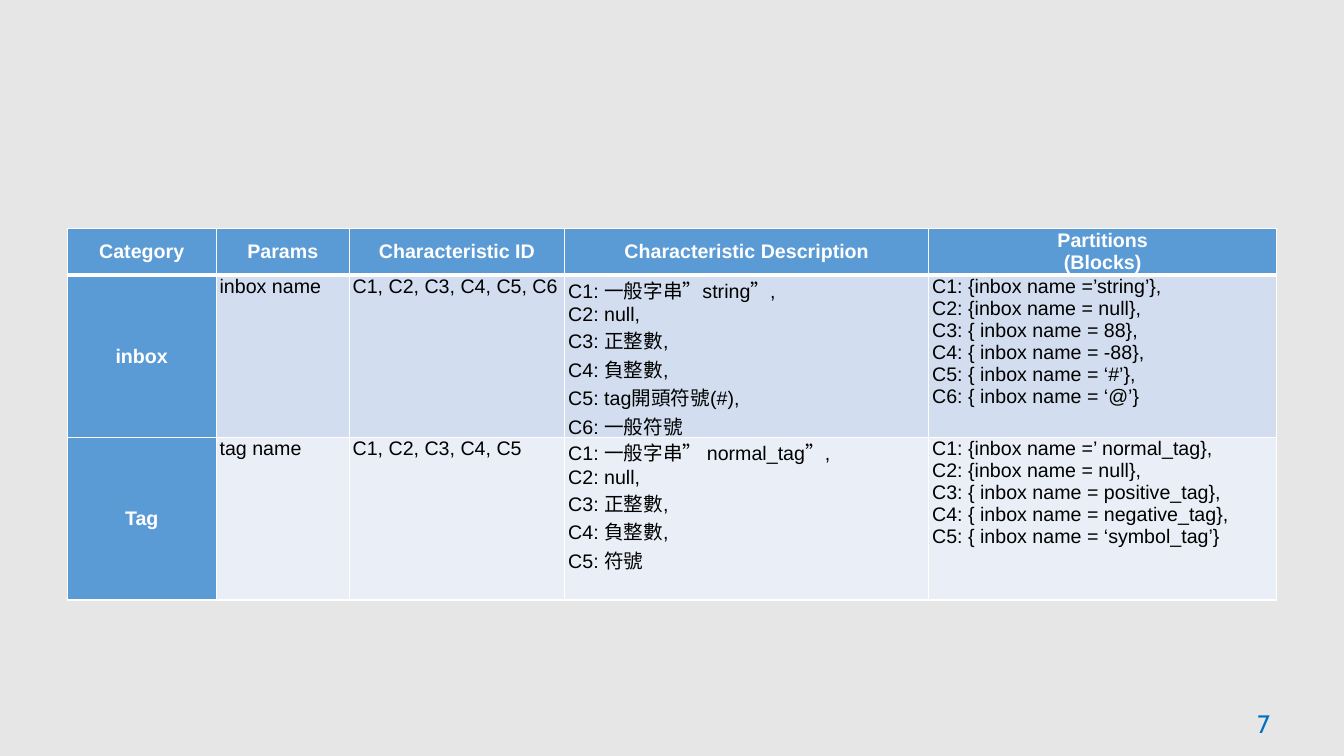
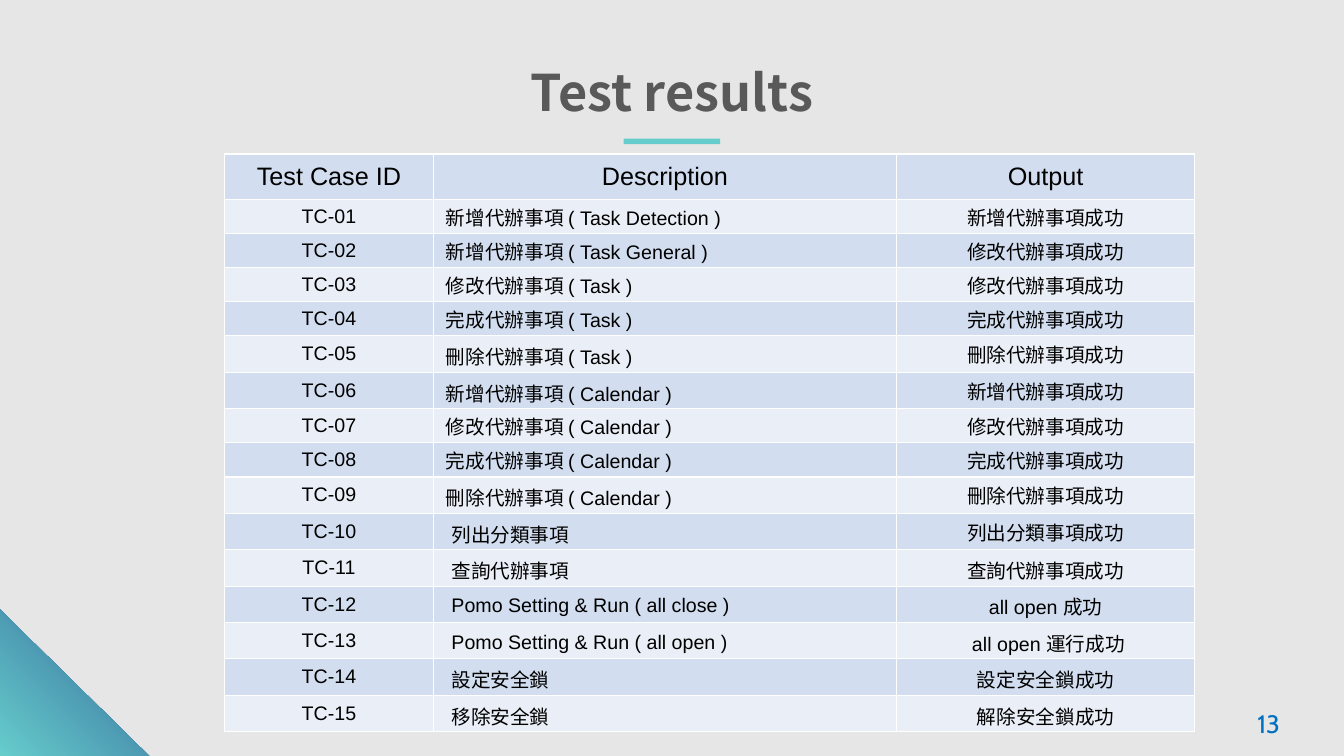
from dataclasses import dataclass

from lxml import etree
from pptx import Presentation
from pptx import util as u
from pptx.dml.color import RGBColor
from pptx.enum import shapes, text
from pptx.oxml.ns import qn

Pt = u.Pt
LEFT, CENTER = text.PP_ALIGN.LEFT, text.PP_ALIGN.CENTER
TOP, MIDDLE = text.MSO_ANCHOR.TOP, text.MSO_ANCHOR.MIDDLE


@dataclass(frozen=True)
class Theme:
    background: str = "E7E6E6"
    white: str = "FFFFFF"
    black: str = "000000"
    title: str = "595959"
    number: str = "0070C0"
    header: str = "5B9BD5"
    dark_band: str = "D2DEEF"
    light_band: str = "EAEFF7"
    accent: str = "66CDCC"
    deep_accent: str = "326698"
    body_font: str = "Arial"
    title_font: str = "Noto Sans CJK SC"
    number_font: str = "Cabin"
    title_size: int = 36
    large_size: int = 18
    body_size: int = 14


def assign(target, values):
    for name, value in values.items():
        setattr(target, name, value)


class Deck:
    def __init__(self, theme):
        self.theme = theme
        self.prs = Presentation()
        assign(self.prs, {"slide_width": Pt(960), "slide_height": Pt(540)})
        self.paint(self.prs.slide_master.background, theme.background)
        self.slide = None

    def paint(self, target, color):
        target.fill.solid()
        target.fill.fore_color.rgb = RGBColor.from_string(color)

    def typeset(self, frame, wording, size, color, font, bold=False,
                align=LEFT, spacing=1.0):
        frame.text = wording
        for paragraph in frame.paragraphs:
            assign(paragraph, {"alignment": align, "line_spacing": spacing})
            for run in paragraph.runs:
                assign(run.font, {"size": Pt(size), "name": font, "bold": bold})
                run.font.color.rgb = RGBColor.from_string(color)

    def add_slide(self, number, title=None):
        layout = self.prs.slide_layouts[5 if title else 6]
        self.slide = self.prs.slides.add_slide(layout)
        if title:
            self.title(title)
        self.page_number(number)

    def title(self, wording):
        t = self.theme
        heading = self.slide.shapes.title
        assign(heading, {"left": Pt(370), "top": Pt(40),
                         "width": Pt(220), "height": Pt(51)})
        assign(heading.text_frame, {"word_wrap": False, "vertical_anchor": MIDDLE,
                                    "auto_size": text.MSO_AUTO_SIZE.NONE})
        self.typeset(heading.text_frame, wording, t.title_size, t.title,
                     t.title_font, True, CENTER)
        underline = self.shape(shapes.MSO_SHAPE.ROUNDED_RECTANGLE, 445.5, 99, 69, 4)
        self.paint(underline, t.accent)

    def page_number(self, number):
        t = self.theme
        box = self.slide.shapes.add_textbox(Pt(891), Pt(502.5), Pt(50), Pt(29.5))
        box.text_frame.word_wrap = True
        self.typeset(box.text_frame, str(number), t.large_size, t.number, t.number_font)

    def shape(self, preset, left, top, width, height):
        item = self.slide.shapes.add_shape(
            preset, Pt(left), Pt(top), Pt(width), Pt(height))
        item.shadow.inherit = False
        item.line.fill.background()
        return item

    def corner(self):
        triangle = self.shape(shapes.MSO_SHAPE.RIGHT_TRIANGLE, 0, 435.5, 107, 105)
        triangle.fill.gradient()
        triangle.fill.gradient_angle = 225
        shades = (self.theme.deep_accent, self.theme.accent)
        for stop, shade in zip(triangle.fill.gradient_stops, shades):
            stop.color.rgb = RGBColor.from_string(shade)

    def table(self, left, top, widths, heights):
        grid = self.slide.shapes.add_table(
            len(heights), len(widths), Pt(left), Pt(top),
            Pt(sum(widths)), Pt(sum(heights))).table
        for column, width in zip(grid.columns, widths):
            column.width = Pt(width)
        for row, height in zip(grid.rows, heights):
            row.height = Pt(height)
        return grid

    def cell(self, cell, wording, fill, inset, indent=0, anchor=MIDDLE,
             bottom=1, size=None, color=None, **style):
        t = self.theme
        assign(cell, {"margin_left": Pt(inset + indent), "margin_right": Pt(inset),
                      "margin_top": 0, "margin_bottom": 0, "vertical_anchor": anchor})
        self.borders(cell, bottom)
        self.paint(cell, fill)
        self.typeset(cell.text_frame, wording, size or t.body_size,
                     color or t.black, t.body_font, **style)

    def borders(self, cell, bottom):
        properties = cell._tc.get_or_add_tcPr()
        for side, weight in (("L", 1), ("R", 1), ("T", 1), ("B", bottom)):
            line = etree.SubElement(properties, qn("a:ln" + side), w=str(Pt(weight)))
            solid = etree.SubElement(line, qn("a:solidFill"))
            etree.SubElement(solid, qn("a:srgbClr"), val=self.theme.white)


PARTITIONS = (
    ("Category", "Params", "Characteristic ID", "Characteristic Description",
     "Partitions\n(Blocks)"),
    ("inbox", "inbox name", "C1, C2, C3, C4, C5, C6",
     "C1: 一般字串”string”,\nC2: null,\nC3: 正整數,\nC4: 負整數,\n"
     "C5: tag開頭符號(#),\nC6: 一般符號",
     "C1: {inbox name =’string’},\nC2: {inbox name = null},\n"
     "C3: { inbox name = 88},\nC4: { inbox name = -88},\n"
     "C5: { inbox name = ‘#’},\nC6: { inbox name = ‘@’}"),
    ("Tag", "tag name", "C1, C2, C3, C4, C5",
     "C1: 一般字串” normal_tag”,\nC2: null,\nC3: 正整數,\nC4: 負整數,\nC5: 符號",
     "C1: {inbox name =’ normal_tag},\nC2: {inbox name = null},\n"
     "C3: { inbox name = positive_tag},\nC4: { inbox name = negative_tag},\n"
     "C5: { inbox name = ‘symbol_tag’}"),
)

TEST_CASES = (
    ("新增代辦事項 ( Task Detection )", "新增代辦事項成功"),
    ("新增代辦事項 ( Task General )", "修改代辦事項成功"),
    ("修改代辦事項 ( Task )", "修改代辦事項成功"),
    ("完成代辦事項 ( Task )", "完成代辦事項成功"),
    ("刪除代辦事項 ( Task )", "刪除代辦事項成功"),
    ("新增代辦事項 ( Calendar )", "新增代辦事項成功"),
    ("修改代辦事項 ( Calendar )", "修改代辦事項成功"),
    ("完成代辦事項 ( Calendar )", "完成代辦事項成功"),
    ("刪除代辦事項 ( Calendar )", "刪除代辦事項成功"),
    ("列出分類事項", "列出分類事項成功"),
    ("查詢代辦事項", "查詢代辦事項成功"),
    ("Pomo Setting & Run ( all close )", "all open 成功"),
    ("Pomo Setting & Run ( all open )", " all open 運行成功"),
    ("設定安全鎖", "設定安全鎖成功"),
    ("移除安全鎖", "解除安全鎖成功"),
)
TIGHT_CASES = {1, 2, 3, 4, 7, 8}


def partition_slide(deck):
    t = deck.theme
    deck.add_slide(7)
    grid = deck.table(48, 163, (106.5, 95, 154, 260, 248.5), (32, 116, 116))
    for row, entries in enumerate(PARTITIONS):
        band = t.dark_band if row % 2 else t.light_band
        for column, wording in enumerate(entries):
            if row == 0 or column == 0:
                look = {"fill": t.header, "color": t.white, "bold": True,
                        "align": CENTER, "bottom": 1 if row else 3}
            else:
                look = {"fill": band, "anchor": TOP}
            deck.cell(grid.cell(row, column), wording, inset=2.4, **look)


def results_slide(deck):
    t = deck.theme
    deck.add_slide(13, "Test results")
    deck.corner()
    cases = range(1, len(TEST_CASES) + 1)
    heights = [32.4] + [24.4 if case in TIGHT_CASES else 26 for case in cases]
    grid = deck.table(160.5, 110, (149, 331, 213), heights)
    for column, heading in enumerate(("Test Case ID", "Description", "Output")):
        deck.cell(grid.cell(0, column), heading, t.dark_band, 5,
                  size=t.large_size, align=CENTER)
    for case, (description, output) in zip(cases, TEST_CASES):
        band = t.light_band if case % 2 else t.dark_band
        deck.cell(grid.cell(case, 0), f"TC-{case:02}", band, 5, align=CENTER)
        deck.cell(grid.cell(case, 1), description, band, 5,
                  indent=4 if case < 10 else 8,
                  spacing=1.0 if case in TIGHT_CASES else 1.15)
        deck.cell(grid.cell(case, 2), output, band, 5, align=CENTER,
                  spacing=1.0 if case < 11 else 1.15)


def main():
    deck = Deck(Theme())
    partition_slide(deck)
    results_slide(deck)
    deck.prs.save("out.pptx")


if __name__ == "__main__":
    main()
